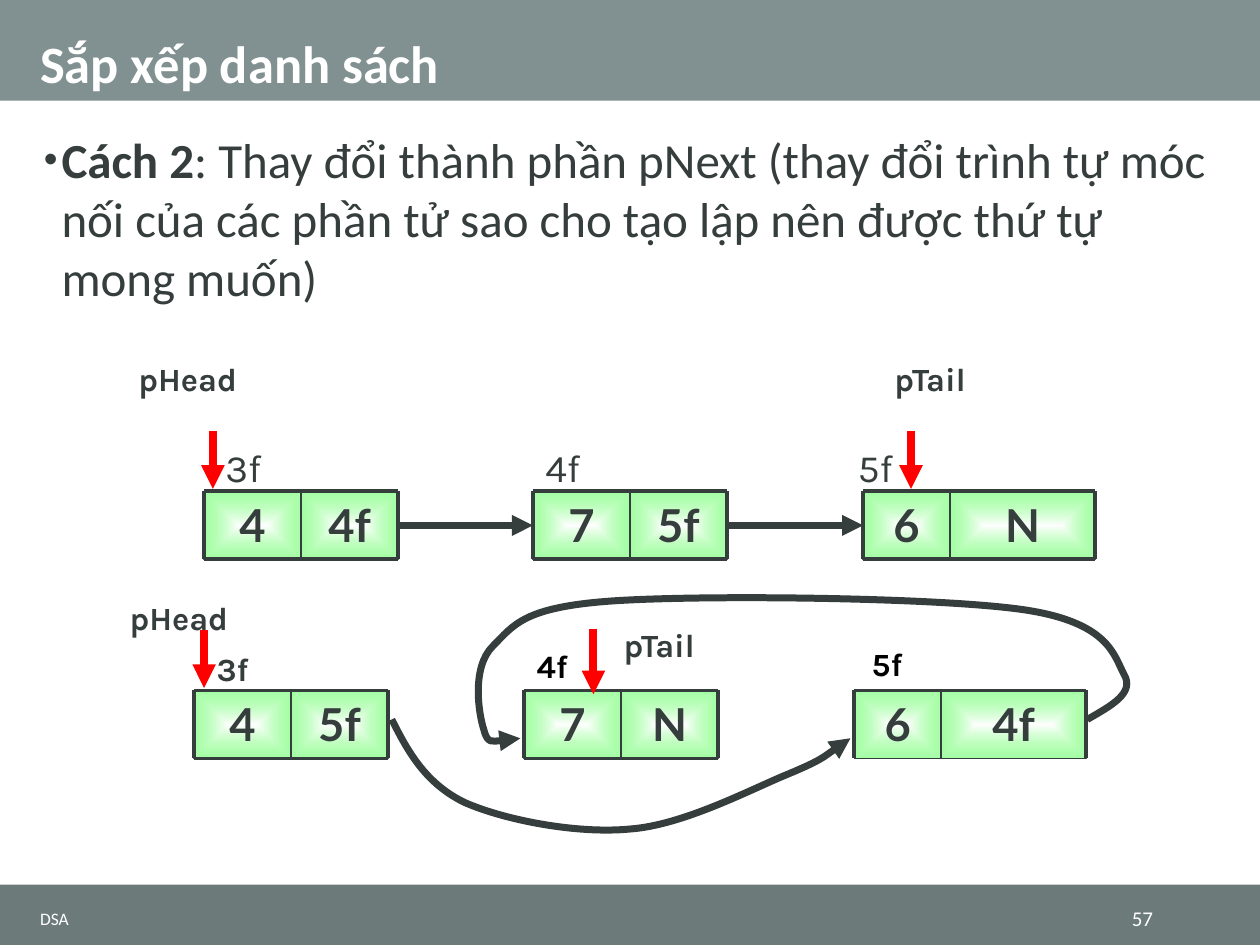
from lxml.etree import SubElement
from pptx import Presentation
from pptx.dml.color import RGBColor
from pptx.enum.shapes import MSO_CONNECTOR, MSO_SHAPE
from pptx.enum.text import MSO_ANCHOR, PP_ALIGN
from pptx.oxml import parse_xml
from pptx.oxml.ns import nsdecls, qn
from pptx.util import Inches, Pt

DARK, WHITE, BLACK, RED = "363D3D", "FFFFFF", "000000", "FF0000"

# Content
TITLE = "Sắp xếp danh sách"
BODY = ["Cách 2", ": Thay đổi thành phần pNext (thay đổi trình tự móc nối của các "
        "phần tử sao cho tạo lập nên được thứ tự mong muốn)"]
BANDS = [(0, 0.8, "819090"), (7.02, 0.48, "6C7A7A")]

# Nodes: left, top, cell widths, values, bottom line width
NODE_HEIGHT = 0.54
EVEN, WIDE = (0.77, 0.77), (0.69, 1.15)
BEFORE = [
    (1.62, 3.9, EVEN, ("4", "4f"), 2.25),
    (4.23, 3.9, EVEN, ("7", "5f"), 2.25),
    (6.85, 3.9, WIDE, ("6", "N"), 2.25),
]
AFTER = [
    (1.54, 5.48, EVEN, ("4", "5f"), 2.25),
    (4.16, 5.48, EVEN, ("7", "N"), 2.25),
    (6.78, 5.48, WIDE, ("6", "4f"), 0.75),
]

# Labels: text, left, top, width, height, size, bold, colour
LABELS = [
    ("pHead", 1, 2.8, 1.08, 0.41, 18.5, True, DARK),
    ("pTail", 7, 2.8, 1.08, 0.41, 18.5, True, DARK),
    ("3f", 1.69, 3.47, 0.69, 0.47, 22.1, False, DARK),
    ("4f", 4.23, 3.47, 0.69, 0.47, 22.1, False, DARK),
    ("5f", 6.71, 3.47, 0.69, 0.47, 22.1, False, DARK),
    ("pHead", 0.93, 4.7, 1.08, 0.41, 18.5, True, DARK),
    ("pTail", 4.85, 4.91, 1.08, 0.41, 18.5, True, DARK),
    ("3f", 1.62, 5.1, 0.69, 0.41, 18.5, True, DARK),
    ("4f", 4.16, 5.08, 0.69, 0.41, 18.5, True, BLACK),
    ("5f", 6.82, 5.06, 0.69, 0.41, 18.5, True, BLACK),
]

# Pointer arrows: x, top, bottom
POINTERS = [(1.69, 3.42, 3.88), (7.23, 3.42, 3.88), (1.62, 5, 5.46), (4.71, 4.99, 5.51)]

# Curved links: start point, then three points for each Bézier segment
CURVES = [
    [(3.11, 5.71),
     (3.24, 5.97), (3.38, 6.22), (3.69, 6.37),
     (4.01, 6.51), (4.58, 6.62), (5, 6.58),
     (5.42, 6.55), (5.95, 6.27), (6.24, 6.15),
     (6.53, 6.03), (6.63, 5.94), (6.75, 5.86)],
    [(8.63, 5.71),
     (8.82, 5.6), (9.01, 5.5), (8.92, 5.35),
     (8.84, 5.2), (8.8, 4.94), (8.13, 4.84),
     (7.45, 4.74), (5.56, 4.72), (4.85, 4.77),
     (4.15, 4.82), (4.08, 4.96), (3.91, 5.13),
     (3.74, 5.3), (3.8, 5.67), (3.84, 5.79),
     (3.87, 5.91), (4, 5.88), (4.13, 5.86)],
]

GRADIENT = f"""<a:gradFill {nsdecls("a")} rotWithShape="1"><a:gsLst>
<a:gs pos="0"><a:srgbClr val="FFFFFF"/></a:gs>
<a:gs pos="100000"><a:srgbClr val="69FF69"><a:alpha val="60000"/></a:srgbClr></a:gs>
</a:gsLst><a:path path="shape"><a:fillToRect l="50000" t="50000" r="50000" b="50000"/>
</a:path></a:gradFill>"""

presentation = Presentation()
presentation.slide_width, presentation.slide_height = Inches(10), Inches(7.5)
slide = presentation.slides.add_slide(presentation.slide_layouts[6])
shapes = slide.shapes


def color(value):
    return RGBColor.from_string(value)


def style_line(line, value, width, arrow=False):
    line.color.rgb = color(value)
    line.width = Pt(width)
    if arrow:
        SubElement(line._get_or_add_ln(), qn("a:tailEnd"), type="triangle")


def style_font(font, name, size, value, bold=False):
    font.name, font.size, font.bold = name, Pt(size), bold
    font.color.rgb = color(value)


def add_rectangle(left, top, width, height):
    shape = shapes.add_shape(MSO_SHAPE.RECTANGLE, Inches(left), Inches(top),
                             Inches(width), Inches(height))
    shape.shadow.inherit = False
    return shape


def add_text(text, left, top, width, height, size, bold=False, value=WHITE,
             font="Calibri", anchor=MSO_ANCHOR.TOP, align=PP_ALIGN.LEFT):
    box = shapes.add_textbox(Inches(left), Inches(top), Inches(width), Inches(height))
    frame = box.text_frame
    frame.word_wrap = True
    frame.vertical_anchor = anchor
    frame.text = text
    paragraph = frame.paragraphs[0]
    paragraph.alignment = align
    for run in paragraph.runs:
        style_font(run.font, font, size, value, bold)
    return paragraph


def add_line(x1, y1, x2, y2, value, width, arrow=False):
    connector = shapes.add_connector(MSO_CONNECTOR.STRAIGHT, Inches(x1), Inches(y1),
                                     Inches(x2), Inches(y2))
    style_line(connector.line, value, width, arrow)
    SubElement(connector._element.spPr, qn("a:effectLst"))
    return connector


def add_node(left, top, widths, values, bottom_width):
    """Draw a two-cell list node and return its cells."""
    middle, right, bottom = left + widths[0], left + sum(widths), top + NODE_HEIGHT
    cells = []
    for x, width, text in zip((left, middle), widths, values):
        cell = add_rectangle(x, top, width, NODE_HEIGHT)
        cell._element.spPr.find(qn("a:prstGeom")).addnext(parse_xml(GRADIENT))
        style_line(cell.line, DARK, 0.75)
        frame = cell.text_frame
        frame.vertical_anchor = MSO_ANCHOR.TOP
        frame.text = text
        frame.paragraphs[0].alignment = PP_ALIGN.CENTER
        style_font(frame.paragraphs[0].runs[0].font, "Lato", 25.9, DARK, True)
        cells.append(cell)
    for y, width in ((top, 2.25), (bottom, bottom_width)):
        add_line(left, y, right, y, DARK, width)
    for x, width in ((left, 2.25), (middle, 1), (right, 2.25)):
        add_line(x, top, x, bottom, DARK, width)
    return cells


def add_curve(points):
    """Draw a freeform whose points are joined as cubic Bézier segments."""
    builder = shapes.build_freeform(*map(Inches, points[0]))
    builder.add_line_segments([tuple(map(Inches, point)) for point in points[1:]], close=False)
    shape = builder.convert_to_shape()
    shape.shadow.inherit = False
    shape.fill.background()
    style_line(shape.line, DARK, 4, arrow=True)
    segments = list(shape._element.iter(qn("a:lnTo")))
    for start in range(0, len(segments), 3):
        group = segments[start:start + 3]
        curve = SubElement(group[0].getparent(), qn("a:cubicBezTo"))
        for segment in group:
            curve.append(segment[0])
            segment.getparent().remove(segment)


# Bands, title and footer
for top, height, fill in BANDS:
    band = add_rectangle(0, top, 10, height)
    band.fill.solid()
    band.fill.fore_color.rgb = color(fill)
    band.line.fill.background()
add_text(TITLE, 0.22, 0, 9.57, 0.8, 30, True, anchor=MSO_ANCHOR.BOTTOM).line_spacing = 0.9
add_text("DSA", 0.22, 7.16, 6.95, 0.26, 10, anchor=MSO_ANCHOR.MIDDLE)
add_text("57", 8.47, 7.16, 0.78, 0.26, 12, anchor=MSO_ANCHOR.MIDDLE, align=PP_ALIGN.RIGHT)

# Body bullet
body = add_text(BODY[0], 0.22, 0.98, 9.57, 1.6, 28, True, DARK)
style_font(body.add_run().font, "Calibri", 28, DARK)
body.runs[1].text = BODY[1]
properties = body._p.get_or_add_pPr()
properties.set("marL", str(Inches(0.17)))
properties.set("indent", str(Inches(-0.14)))
SubElement(properties, qn("a:buSzPct"), val="80000")
SubElement(properties, qn("a:buFont"), typeface="Arial")
SubElement(properties, qn("a:buChar"), char="•")

# Lists before and after relinking
before_cells = [add_node(*node) for node in BEFORE]
for node in AFTER:
    add_node(*node)
for source, target in zip(before_cells, before_cells[1:]):
    link = add_line(0, 0, 1, 1, DARK, 4, arrow=True)
    link.begin_connect(source[1], 3)
    link.end_connect(target[0], 1)
for points in CURVES:
    add_curve(points)

# Labels and pointers
for label in LABELS:
    add_text(*label, font="Karla")
for x, top, bottom in POINTERS:
    add_line(x, top, x, bottom, RED, 4.5, arrow=True)

presentation.save("out.pptx")
